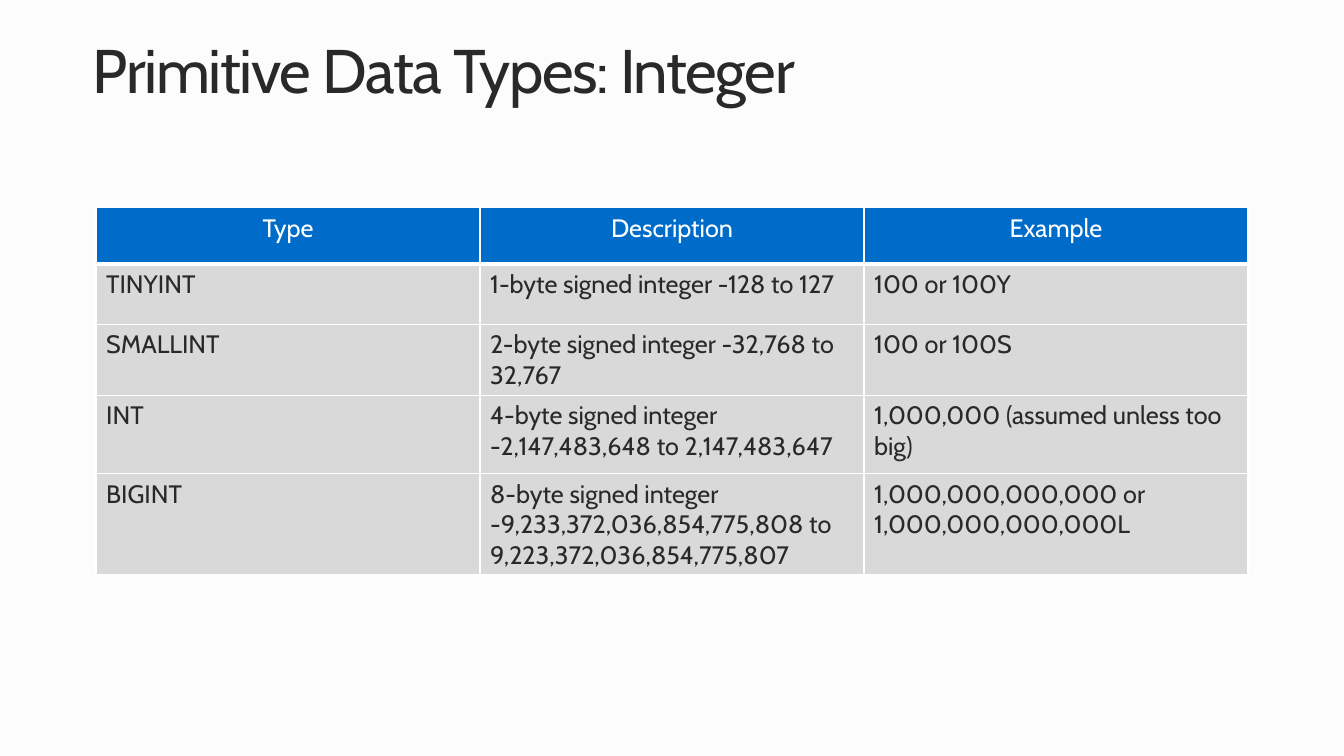
from dataclasses import dataclass

from lxml.etree import SubElement
from pptx import Presentation
from pptx.dml.color import RGBColor as Color
from pptx.enum.text import MSO_ANCHOR as Anchor, MSO_AUTO_SIZE as AutoSize, PP_ALIGN as Align
from pptx.oxml import parse_xml
from pptx.oxml.ns import nsdecls, qn
from pptx.util import Pt


@dataclass(frozen=True)
class Theme:
    font: str = "Cabin"
    paper: str = "FCFCFC"
    ink: str = "292929"
    white: str = "FFFFFF"
    header: str = "006CC9"
    body: str = "D9D9D9"
    title_size: float = 44
    table_size: float = 18
    thin: float = 1
    thick: float = 3


HEADINGS = ["Type", "Description", "Example"]
INTEGER_TYPES = [
    ["TINYINT", "1-byte signed integer -128 to 127", "100 or 100Y"],
    ["SMALLINT", "2-byte signed integer -32,768 to 32,767", "100 or 100S"],
    ["INT", "4-byte signed integer -2,147,483,648 to 2,147,483,647",
     "1,000,000 (assumed unless too big)"],
    ["BIGINT", "8-byte signed integer\n-9,233,372,036,854,775,808 to  9,223,372,036,854,775,807",
     "1,000,000,000,000 or 1,000,000,000,000L"],
]
ROW_HEIGHTS = [40.3, 43.2, 43.2, 56.2, 67.7]
COLUMN_WIDTH = 274.3


def write(frame, text, *, font, size, color, align=Align.LEFT, line_spacing=None, tracking=None):
    """Fill a text frame, one paragraph per line of text."""
    for index, line in enumerate(text.split("\n")):
        para = frame.add_paragraph() if index else frame.paragraphs[0]
        para.alignment = align
        if line_spacing:
            para.line_spacing = line_spacing
        span = para.add_run()
        span.text = line
        span.font.name = font
        span.font.size = Pt(size)
        span.font.bold = False
        span.font.color.rgb = Color.from_string(color)
        if tracking:
            span.font._element.set("spc", str(round(tracking * 100)))


class SlideBuilder:
    def __init__(self, deck, theme):
        self.theme = theme
        self.page = deck.slides.add_slide(deck.slide_layouts[5])
        fill = self.page.background.fill
        fill.solid()
        fill.fore_color.rgb = Color.from_string(theme.paper)

    def title(self, text, left, top, width, height):
        box = self.page.shapes.title
        box.left, box.top, box.width, box.height = map(Pt, (left, top, width, height))
        frame = box.text_frame
        frame.margin_left = frame.margin_top = frame.margin_right = frame.margin_bottom = 0
        frame.vertical_anchor = Anchor.TOP
        frame.word_wrap = True
        frame.auto_size = AutoSize.SHAPE_TO_FIT_TEXT
        write(frame, text, font=self.theme.font, size=self.theme.title_size,
              color=self.theme.ink, line_spacing=0.9, tracking=-1)

    def borders(self, cell, top, bottom):
        properties = cell._tc.get_or_add_tcPr()
        thin = self.theme.thin
        for side, width in zip("LRTB", (thin, thin, top, bottom)):
            line = parse_xml(f'<a:ln{side} {nsdecls("a")} w="{Pt(width)}"/>')
            fill = SubElement(line, qn("a:solidFill"))
            SubElement(fill, qn("a:srgbClr"), val=self.theme.white)
            properties.append(line)

    def table(self, rows, left, top, column_width, row_heights):
        theme = self.theme
        columns = len(rows[0])
        table = self.page.shapes.add_table(
            len(rows), columns, Pt(left), Pt(top),
            Pt(column_width * columns), Pt(sum(row_heights))).table
        for column in table.columns:
            column.width = Pt(column_width)
        for r, (texts, height) in enumerate(zip(rows, row_heights)):
            table.rows[r].height = Pt(height)
            is_header = r == 0
            for c, text in enumerate(texts):
                cell = table.cell(r, c)
                self.borders(cell, top=theme.thick if r == 1 else theme.thin,
                             bottom=theme.thick if is_header else theme.thin)
                cell.fill.solid()
                cell.fill.fore_color.rgb = Color.from_string(
                    theme.header if is_header else theme.body)
                write(cell.text_frame, text, font=theme.font, size=theme.table_size,
                      color=theme.white if is_header else theme.ink,
                      align=Align.CENTER if is_header else Align.LEFT)


def main():
    deck = Presentation()
    deck.slide_width, deck.slide_height = Pt(960), Pt(540)
    builder = SlideBuilder(deck, Theme())
    builder.title("Primitive Data Types: Integer", 66.2, 28.8, 878.4, 49)
    builder.table([HEADINGS, *INTEGER_TYPES], 68.6, 148.3, COLUMN_WIDTH, ROW_HEIGHTS)
    deck.save("out.pptx")


if __name__ == "__main__":
    main()
